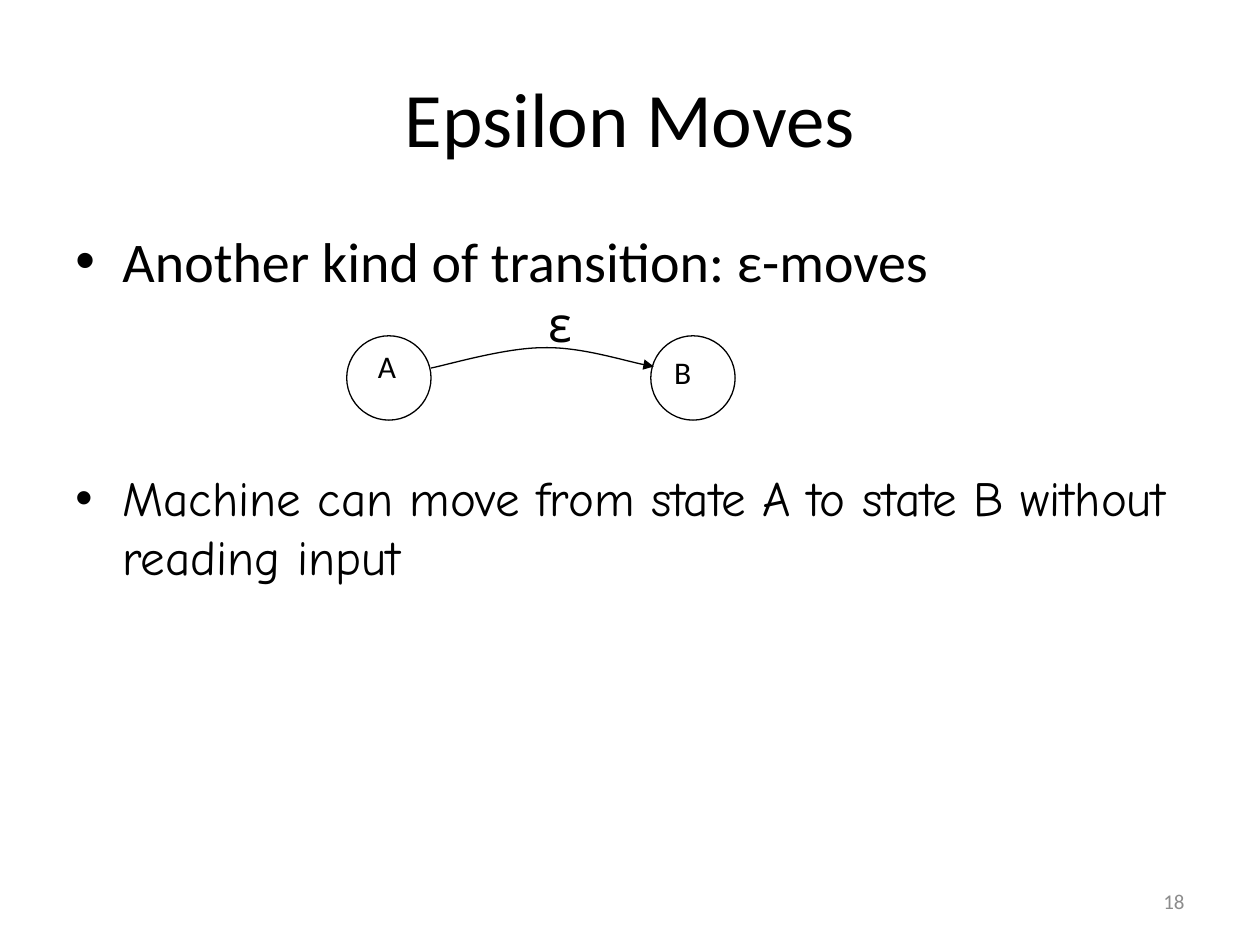
from lxml.etree import SubElement
from pptx import Presentation
from pptx.dml.color import RGBColor
from pptx.enum.shapes import MSO_SHAPE as Shape
from pptx.enum.text import MSO_ANCHOR as Anchor, PP_ALIGN as Align
from pptx.oxml.ns import qn
from pptx.util import Cm, Pt

COLORS = {"ink": "000000", "muted": "8C8C8C", "paper": "FFFFFF"}
BODY, HAND = "Calibri", "Comic Neue"

# Content: text, box (left, top, width, height in cm), format
TEXTS = [
    ("18", (18.21, 17.65, 5.92, 1.02),
     dict(size=12, color="muted", align=Align.RIGHT, anchor=Anchor.MIDDLE)),
    ("Epsilon Moves", (1.27, 0.76, 22.86, 3.18),
     dict(size=44, align=Align.CENTER, anchor=Anchor.MIDDLE)),
    ("Another kind of transition: ε-moves", (1.27, 4.45, 23.06, 1.9),
     dict(size=32, bullet="•")),
    ("Machine can move from state A to state B without reading input",
     (1.27, 9.31, 23.06, 2.75), dict(size=28, font=HAND, bullet="•")),
]
LABELS = [
    ("ε", (10.8, 5.79, 0.94, 1.45), dict(size=28, font=HAND, wrap=False)),
    ("A", (7.37, 6.88, 1.12, 1.27), dict(size=18, wrap=False)),
    ("B", (13.34, 6.99, 1.07, 1.27), dict(size=18, wrap=False)),
]
STATE_LEFTS, STATE_TOP, STATE_SIZE = (6.99, 13.12), 6.77, 1.7
# Start point, then two control points and an end point for each curve
ARROW = [(8.69, 7.42),
         (9.04, 7.35), (10.19, 7.01), (10.95, 7.01),
         (11.68, 6.99), (12.73, 7.32), (13.18, 7.39)]


def rgb(name):
    return RGBColor.from_string(COLORS[name])


def add_text(slide, text, box, size, font=BODY, color="ink", align=Align.LEFT,
             anchor=Anchor.TOP, bullet=None, wrap=True):
    frame = slide.shapes.add_textbox(*map(Cm, box)).text_frame
    frame.word_wrap = wrap
    frame.vertical_anchor = anchor
    paragraph = frame.paragraphs[0]
    paragraph.alignment = align
    if bullet:
        properties = paragraph._p.get_or_add_pPr()
        properties.set("marL", str(Cm(0.95)))
        properties.set("indent", str(-Cm(0.95)))
        SubElement(properties, qn("a:buFont"), typeface="Arial")
        SubElement(properties, qn("a:buChar"), char=bullet)
    run = paragraph.add_run()
    run.text = text
    run.font.name, run.font.size = font, Pt(size)
    run.font.color.rgb = rgb(color)


def outline(shape):
    shape.shadow.inherit = False
    shape.fill.background()
    shape.line.color.rgb = rgb("ink")
    shape.line.width = Pt(0.75)


def add_curved_arrow(slide, points):
    start, *rest = [(Cm(x), Cm(y)) for x, y in points]
    builder = slide.shapes.build_freeform(*start)
    builder.add_line_segments(rest, close=False)
    arrow = builder.convert_to_shape()
    outline(arrow)
    # Join every three line segments into one cubic curve
    segments = list(arrow._element.iter(qn("a:lnTo")))
    outline_path = segments[0].getparent()
    for first in range(0, len(segments), 3):
        curve = SubElement(outline_path, qn("a:cubicBezTo"))
        for segment in segments[first:first + 3]:
            curve.append(segment[0])
            outline_path.remove(segment)
    SubElement(arrow.line._get_or_add_ln(), qn("a:tailEnd"), type="triangle")


def main():
    presentation = Presentation()
    presentation.slide_width, presentation.slide_height = Cm(25.4), Cm(19.05)
    slide = presentation.slides.add_slide(presentation.slide_layouts[6])
    slide.background.fill.solid()
    slide.background.fill.fore_color.rgb = rgb("paper")

    # Page number, title and bullets
    for text, box, style in TEXTS:
        add_text(slide, text, box, **style)

    # State diagram
    for left in STATE_LEFTS:
        outline(slide.shapes.add_shape(
            Shape.OVAL, Cm(left), Cm(STATE_TOP), Cm(STATE_SIZE), Cm(STATE_SIZE)))
    add_curved_arrow(slide, ARROW)
    for text, box, style in LABELS:
        add_text(slide, text, box, **style)

    presentation.save("out.pptx")


if __name__ == "__main__":
    main()
